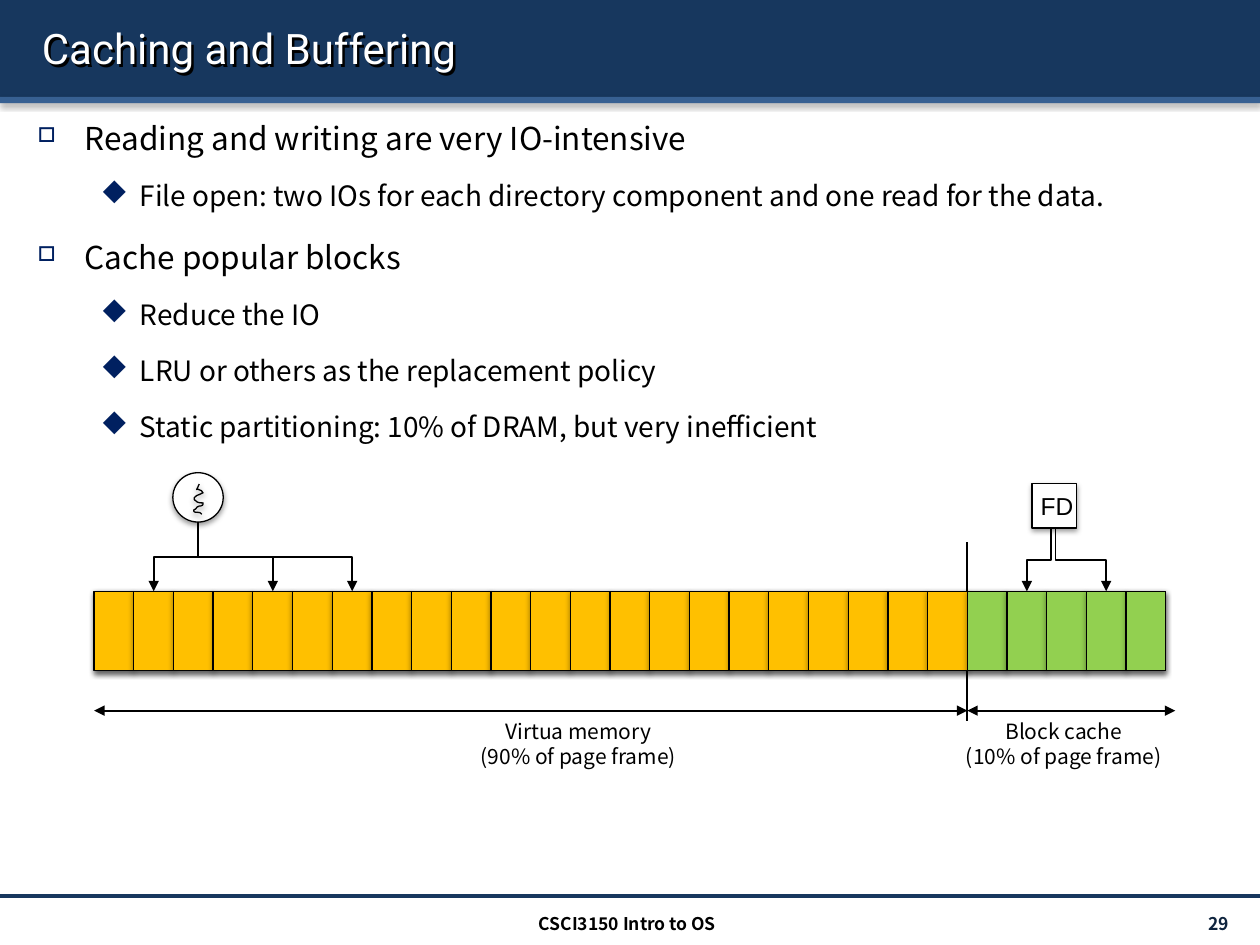
from collections import namedtuple

from lxml.etree import SubElement
from pptx import Presentation
from pptx.dml.color import RGBColor
from pptx.enum.shapes import MSO_CONNECTOR as LINK, MSO_SHAPE as SHAPE
from pptx.enum.text import MSO_ANCHOR as ANCHOR, PP_ALIGN as ALIGN
from pptx.oxml.ns import qn
from pptx.util import Pt

Box = namedtuple("Box", "x y w h")
COLORS = dict(navy="17375E", blue="376092", bullet="002060", number="0F243E",
              white="FFFFFF", black="000000", memory="FFC000", cache="92D050")
SANS = "Noto Sans CJK KR"
SYMBOLS = "Wingdings"
BULLETS = [  # indent, hanging, size, symbol font character, bullet percent
    (27, 27, 18, "o", 65),  # hollow square
    (58.5, 22.5, 16, "u", 100),  # solid diamond
]
POINTS = [
    (0, "Reading and writing are very IO-intensive"),
    (1, "File open: two IOs for each directory component and one read for the data."),
    (0, "Cache popular blocks"),
    (1, "Reduce the IO"),
    (1, "LRU or others as the replacement policy"),
    (1, "Static partitioning: 10% of DRAM, but very inefficient"),
]
CELL, MEMORY_CELLS, CACHE_CELLS = 22.68, 22, 5
# Thread squiggle: cubic curves in hundredths of an inch
THREAD_START = (4, 0)
THREAD_CURVES = [
    ((1, 8), (1, 2), (5, 5)), ((6, 5), (6, 6), (7, 7)),
    ((1, 10), (3, 8), (0, 11)), ((0, 12), (0, 13), (1, 13)),
    ((2, 15), (5, 15), (7, 15)), ((7, 16), (7, 17), (6, 17)),
    ((5, 18), (4, 17), (3, 18)), ((2, 18), (2, 19), (1, 20)),
    ((0, 20), (-1, 21), (0, 22)), ((1, 23), (4, 22), (5, 23)),
    ((5, 23), (6, 24), (6, 24)),
]


def color(name):
    return RGBColor.from_string(COLORS[name])


def add_shadow(effects, blur=3.1, distance=1.6, angle=90, alpha=38):
    shadow = SubElement(effects, qn("a:outerShdw"), blurRad=str(Pt(blur)),
                        dist=str(Pt(distance)), dir=str(angle * 60000),
                        algn="ctr", rotWithShape="0")
    tint = SubElement(shadow, qn("a:srgbClr"), val=COLORS["black"])
    SubElement(tint, qn("a:alpha"), val=str(alpha * 1000))


def style(shape, fill=None, line="black"):
    shape.shadow.inherit = False
    add_shadow(shape._element.spPr.find(qn("a:effectLst")))
    if fill:
        shape.fill.solid()
        shape.fill.fore_color.rgb = color(fill)
    else:
        shape.fill.background()
    if line:
        shape.line.color.rgb = color(line)
        shape.line.width = Pt(0.75)
    else:
        shape.line.fill.background()


def add_block(page, box, fill, kind=SHAPE.RECTANGLE, line="black"):
    block = page.shapes.add_shape(kind, *map(Pt, box))
    style(block, fill, line)


def add_line(page, start, end, kind=LINK.STRAIGHT, width=1, ink="black",
             head=False, tail=False):
    line = page.shapes.add_connector(kind, *map(Pt, start + end))
    line.line.color.rgb = color(ink)
    line.line.width = Pt(width)
    for tag, wanted in (("a:headEnd", head), ("a:tailEnd", tail)):
        if wanted:
            SubElement(line.line._get_or_add_ln(), qn(tag), type="triangle")
    SubElement(line._element.spPr, qn("a:effectLst"))
    return line


def add_drop(page, start, end):
    """Elbow arrow that leaves and arrives vertically."""
    (x1, y1), (x2, y2) = start, end
    length, reach = y2 - y1, abs(x2 - x1)
    left, top = (x1 + x2 - length) / 2, (y1 + y2 - reach) / 2
    drop = add_line(page, (left, top), (left + length, top + reach),
                    LINK.ELBOW, tail=True)
    frame = drop._element.spPr.find(qn("a:xfrm"))
    frame.set("rot", str((90 if x2 < x1 else 270) * 60000))
    if x2 > x1:
        frame.set("flipH", "1")


def add_text(page, box, *lines, size=12, font=SANS, ink="black", bold=False,
             align=ALIGN.LEFT, anchor=ANCHOR.TOP, shadow=False, levels=None):
    holder = page.shapes.add_textbox(*map(Pt, box))
    if shadow:
        holder.shadow.inherit = False
        add_shadow(holder._element.spPr.find(qn("a:effectLst")), 0, 2, 45, 100)
    frame = holder.text_frame
    frame.word_wrap = True
    frame.vertical_anchor = anchor
    for i, line in enumerate(lines):
        para = frame.add_paragraph() if i else frame.paragraphs[0]
        para.alignment = align
        span = para.add_run()
        span.text = line
        span.font.name, span.font.bold = font, bold
        span.font.size = Pt(size)
        span.font.color.rgb = color(ink)
        if levels:
            set_bullet(para, span, levels[i])


def set_bullet(para, span, level):
    indent, hanging, size, char, percent = BULLETS[level]
    span.font.size = Pt(size)
    para.level = level
    para.line_spacing = 1.5
    para.space_before = Pt(size * 0.2)
    props = para._p.get_or_add_pPr()
    props.set("marL", str(Pt(indent)))
    props.set("indent", str(-Pt(hanging)))
    tint = SubElement(props, qn("a:buClr"))
    SubElement(tint, qn("a:srgbClr"), val=COLORS["bullet"])
    SubElement(props, qn("a:buSzPct"), val=str(percent * 1000))
    SubElement(props, qn("a:buFont"), typeface=SYMBOLS, pitchFamily="2", charset="2")
    SubElement(props, qn("a:buChar"), char=char)


def draw_header(page, box):
    add_block(page, Box(box.x, box.y, box.w, 55.4), "navy", line=None)
    add_block(page, Box(box.x, box.y + 55.4, box.w, 3.6), "blue", line=None)
    add_text(page, Box(box.x + 16.9, box.y + 4.3, 692, 46), "Caching and Buffering",
             size=24, font="Roboto", ink="white", anchor=ANCHOR.MIDDLE, shadow=True)


def draw_footer(page, box):
    add_line(page, (box.x, box.y), (box.x + box.w, box.y), width=2, ink="navy")
    add_text(page, Box(box.x + 627, box.y + 7.2, 82.5, 17.3), "29", size=10,
             ink="number", bold=True, align=ALIGN.RIGHT, anchor=ANCHOR.MIDDLE)
    add_text(page, Box(box.x + 239, box.y + 6.2, 239, 17.3), "CSCI3150 Intro to OS",
             size=10, bold=True, align=ALIGN.CENTER)


def draw_thread(page, box):
    """Circle with a squiggle made of sampled cubic curves."""
    add_block(page, box, "white", SHAPE.OVAL)
    points, start = [], THREAD_START
    for curve in THREAD_CURVES:
        for t in (0.25, 0.5, 0.75, 1):
            weights = ((1 - t) ** 3, 3 * t * (1 - t) ** 2, 3 * t * t * (1 - t), t ** 3)
            points.append(tuple(sum(w * p[axis] for w, p in zip(weights, (start, *curve)))
                                for axis in (0, 1)))
        start = curve[-1]
    unit = Pt(0.72)
    place = [(Pt(box.x + 12.2) + x * unit, Pt(box.y + 6.5) + y * unit)
             for x, y in [THREAD_START] + points]
    builder = page.shapes.build_freeform(*place[0])
    builder.add_line_segments(place[1:], close=False)
    style(builder.convert_to_shape())


def draw_memory(page, box):
    """Row of page frames with its spans, labels and the two users above it."""
    split = box.x + MEMORY_CELLS * CELL
    measure = box.y + 68.2
    add_block(page, box, "white")
    add_line(page, (split, box.y - 28), (split, box.y + 74.2))
    for start, end in ((box.x, split), (split, box.x + 617.8)):
        add_line(page, (start, measure), (end, measure), head=True, tail=True)
    for left, width, name, share in ((184.6, 184.3, "Virtua memory", 90),
                                     (457.5, 193, "Block cache", 10)):
        add_text(page, Box(box.x + left, measure + 0.9, width, 36), name,
                 f"({share}% of page frame)", align=ALIGN.CENTER)
    for i in range(MEMORY_CELLS + CACHE_CELLS):
        add_block(page, Box(box.x + i * CELL, box.y, CELL, box.h),
                  "memory" if i < MEMORY_CELLS else "cache")

    def cell_top(i):
        return box.x + (i + 0.5) * CELL, box.y

    thread = Box(box.x + 45, box.y - 67.8, 28.8, 28.2)
    draw_thread(page, thread)
    for i in (1, 4, 6):
        add_drop(page, (thread.x + thread.w / 2, thread.y + thread.h), cell_top(i))
    file = Box(box.x + 536, box.y - 61.5, 25.4, 25.4)
    add_block(page, file, "white")
    for offset, i in ((10.8, 23), (13.3, 25)):
        add_drop(page, (file.x + offset, file.y + file.h), cell_top(i))
    add_text(page, Box(file.x - 2.2, file.y + 0.6, 36.7, 24.2), "FD", size=14, font="Arial")


def main():
    deck = Presentation()
    deck.slide_width, deck.slide_height = Pt(720), Pt(540)
    page = deck.slides.add_slide(deck.slide_layouts[6])
    draw_header(page, Box(0, 0, 720, 59))
    draw_footer(page, Box(0, 512, 720, 28))
    levels, lines = zip(*POINTS)
    add_text(page, Box(14.4, 53.5, 692, 433.4), *lines, levels=levels)
    draw_memory(page, Box(53.8, 337.9, (MEMORY_CELLS + CACHE_CELLS) * CELL, 45.3))
    deck.save("out.pptx")


if __name__ == "__main__":
    main()
